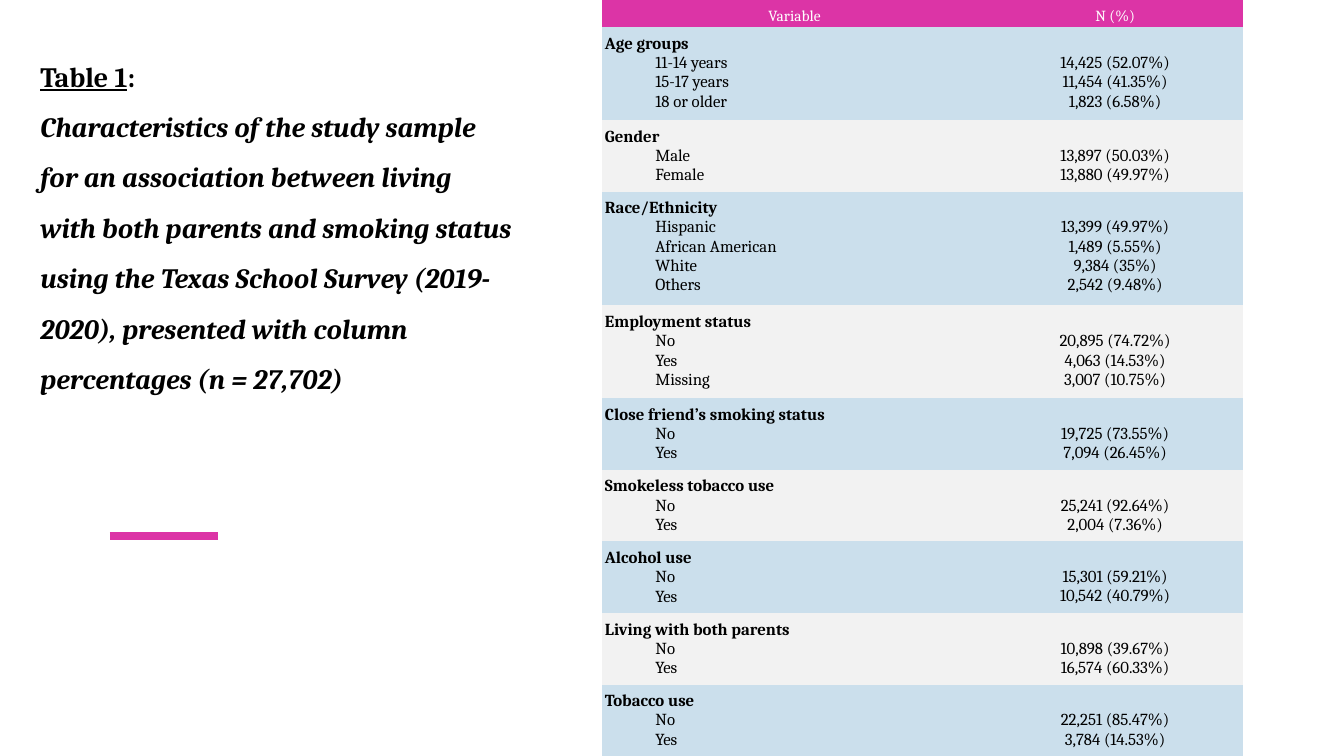
from dataclasses import dataclass

from lxml import etree
from pptx import Presentation
from pptx import util as u
from pptx.dml.color import RGBColor
from pptx.enum import shapes, text
from pptx.oxml.ns import qn

SLIDE_WIDTH, SLIDE_HEIGHT = u.Inches(13.33), u.Inches(7.5)
PLAIN_TABLE_STYLE = "{2D5ABB26-0587-4C30-8999-92F81FD0307C}"


@dataclass(frozen=True)
class Theme:
    font: str = "Cambria"
    ink: str = "000000"
    paper: str = "FFFFFF"
    accent: str = "DC34A6"
    bands: tuple = ("CBDFEC", "F2F2F2")
    title_size: int = 20
    header_size: int = 11
    body_size: int = 12
    accent_width: int = 6


THEME = Theme()

GROUPS = [
    ("Age groups", [("11-14 years", "14,425 (52.07%)"), ("15-17 years", "11,454 (41.35%)"),
                    ("18 or older", "1,823 (6.58%)")]),
    ("Gender", [("Male", "13,897 (50.03%)"), ("Female", "13,880 (49.97%)")]),
    ("Race/Ethnicity", [("Hispanic", "13,399 (49.97%)"), ("African American", "1,489 (5.55%)"),
                        ("White", "9,384 (35%)"), ("Others", "2,542 (9.48%)")]),
    ("Employment status", [("No", "20,895 (74.72%)"), ("Yes", "4,063 (14.53%)"),
                           ("Missing", "3,007 (10.75%)")]),
    ("Close friend’s smoking status", [("No", "19,725 (73.55%)"), ("Yes", "7,094 (26.45%)")]),
    ("Smokeless tobacco use", [("No", "25,241 (92.64%)"), ("Yes", "2,004 (7.36%)")]),
    ("Alcohol use", [("No", "15,301 (59.21%)"), ("Yes", "10,542 (40.79%)")]),
    ("Living with both parents", [("No", "10,898 (39.67%)"), ("Yes", "16,574 (60.33%)")]),
    ("Tobacco use", [("No", "22,251 (85.47%)"), ("Yes", "3,784 (14.53%)")]),
]


def across(percent):
    return u.Emu(round(SLIDE_WIDTH * percent / 100))


def down(percent):
    return u.Emu(round(SLIDE_HEIGHT * percent / 100))


def add_run(paragraph, wording, size, color=THEME.ink, bold=False, italic=False, underline=False):
    run = paragraph.add_run()
    run.text = wording
    font = run.font
    font.name, font.size = THEME.font, u.Pt(size)
    font.bold, font.italic, font.underline = bold, italic, underline
    font.color.rgb = RGBColor.from_string(color)


def set_title(slide):
    title = slide.shapes.title
    title.left, title.top = across(2.25), down(4.93)
    title.width, title.height = across(36.65), down(47.6)
    frame = title.text_frame
    frame.word_wrap = True
    frame.auto_size = text.MSO_AUTO_SIZE.NONE
    frame.vertical_anchor = text.MSO_ANCHOR.TOP
    heading = frame.paragraphs[0]
    heading.alignment = text.PP_ALIGN.LEFT
    heading.line_spacing = 1.5
    add_run(heading, "Table 1", THEME.title_size, bold=True, underline=True)
    add_run(heading, ":", THEME.title_size, bold=True)
    heading.add_line_break()
    add_run(heading, "Characteristics of the study sample for an association between living "
            "with both parents and smoking status using the Texas School Survey (2019-2020), "
            "presented with column percentages (n = 27,702)",
            THEME.title_size, bold=True, italic=True)


def add_accent_line(slide):
    accent = slide.shapes.add_connector(
        shapes.MSO_CONNECTOR.STRAIGHT, across(8.18), down(70.93), across(16.2), down(70.93))
    accent.line.color.rgb = RGBColor.from_string(THEME.accent)
    accent.line.width = u.Pt(THEME.accent_width)
    etree.SubElement(accent.element.spPr, qn("a:effectLst"))


def prepare_cell(cell, color, top=0.07, anchor=text.MSO_ANCHOR.TOP):
    cell.fill.solid()
    cell.fill.fore_color.rgb = RGBColor.from_string(color)
    cell.margin_left = cell.margin_right = u.Inches(0.03)
    cell.margin_top, cell.margin_bottom = u.Inches(top), u.Inches(0.01)
    cell.vertical_anchor = anchor


def next_paragraph(frame, index):
    return frame.add_paragraph() if index else frame.paragraphs[0]


def fill_header(cells):
    for cell, caption in zip(cells, ("Variable", "N (%)")):
        prepare_cell(cell, THEME.accent, anchor=text.MSO_ANCHOR.MIDDLE)
        paragraph = cell.text_frame.paragraphs[0]
        paragraph.alignment = text.PP_ALIGN.CENTER
        add_run(paragraph, caption, THEME.header_size, THEME.paper)


def fill_group(cells, variable, categories, band):
    labels, counts = cells
    prepare_cell(labels, band)
    prepare_cell(counts, band, top=0.26)
    add_run(labels.text_frame.paragraphs[0], variable, THEME.body_size, bold=True)
    for index, (category, count) in enumerate(categories):
        label = labels.text_frame.add_paragraph()
        label.level = 1
        properties = label._p.get_or_add_pPr()
        properties.set("marL", str(u.Inches(0.5)))
        properties.set("indent", "0")
        add_run(label, category, THEME.body_size)
        value = next_paragraph(counts.text_frame, index)
        value.alignment = text.PP_ALIGN.CENTER
        add_run(value, count, THEME.body_size)


def add_characteristics(slide):
    column_shares = (28.66, 19.05)
    row_shares = [3.6] + [3.87 + 2.8 * len(categories) for _, categories in GROUPS]
    frame = slide.shapes.add_table(len(row_shares), len(column_shares), across(44.79), 0,
                                   across(sum(column_shares)), down(sum(row_shares)))
    table = frame.table
    table.first_row = table.horz_banding = False
    table._tbl.tblPr.find(qn("a:tableStyleId")).text = PLAIN_TABLE_STYLE
    for column, share in zip(table.columns, column_shares):
        column.width = across(share)
    for row, share in zip(table.rows, row_shares):
        row.height = down(share)
    header, *group_rows = table.rows
    fill_header(header.cells)
    for index, (row, (variable, categories)) in enumerate(zip(group_rows, GROUPS)):
        fill_group(row.cells, variable, categories, THEME.bands[index % 2])


def main():
    deck = Presentation()
    deck.slide_width, deck.slide_height = SLIDE_WIDTH, SLIDE_HEIGHT
    slide = deck.slides.add_slide(deck.slide_layouts.get_by_name("Title Only"))
    set_title(slide)
    add_accent_line(slide)
    add_characteristics(slide)
    deck.save("out.pptx")


if __name__ == "__main__":
    main()
